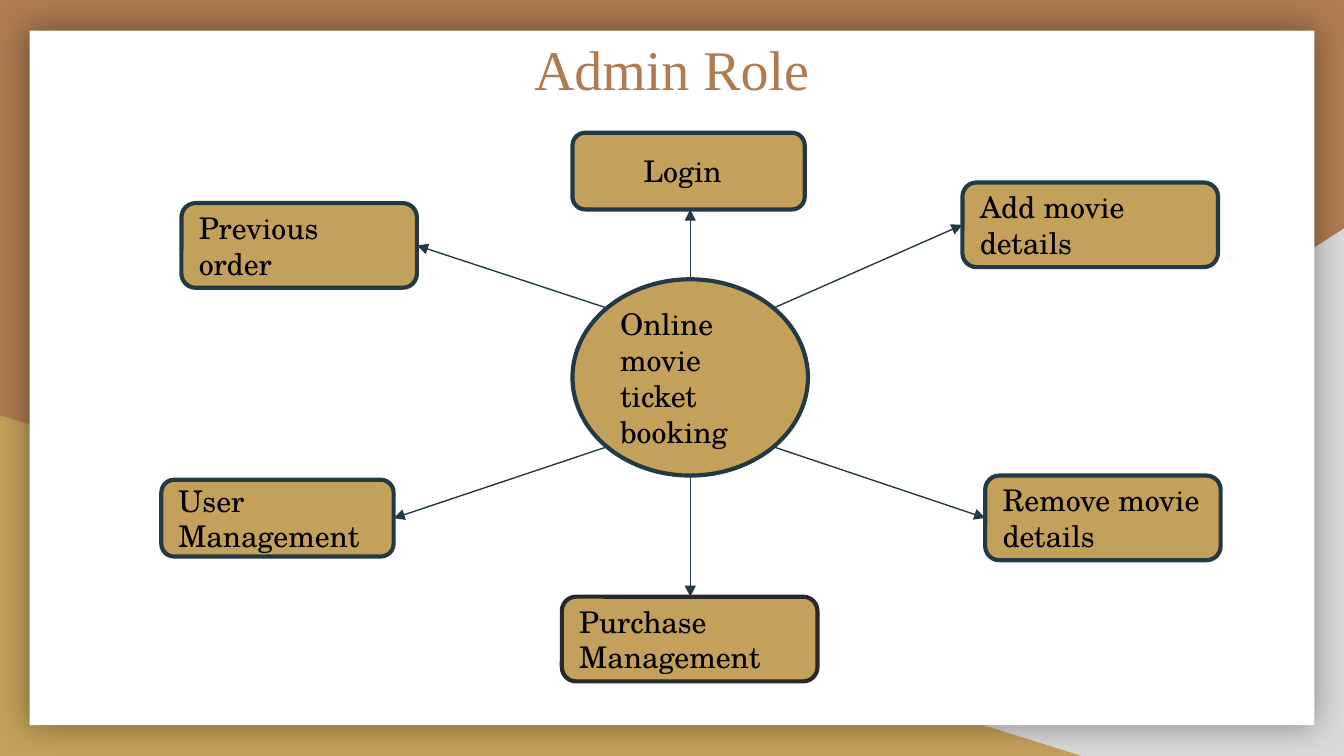
"""Build the Admin Role slide: a hub with arrows to six tasks."""
from math import cos, radians, sin

from lxml import etree
from pptx import Presentation
from pptx.dml.color import RGBColor
from pptx.enum.shapes import MSO_CONNECTOR, MSO_SHAPE
from pptx.enum.text import MSO_ANCHOR, MSO_AUTO_SIZE, PP_ALIGN
from pptx.oxml.ns import qn
from pptx.util import Cm, Pt

TRIANGLE, RECTANGLE = MSO_SHAPE.RIGHT_TRIANGLE, MSO_SHAPE.RECTANGLE
OVAL, ROUNDED = MSO_SHAPE.OVAL, MSO_SHAPE.ROUNDED_RECTANGLE
STRAIGHT = MSO_CONNECTOR.STRAIGHT
LEFT, CENTER = PP_ALIGN.LEFT, PP_ALIGN.CENTER
TOP, MIDDLE = MSO_ANCHOR.TOP, MSO_ANCHOR.MIDDLE
NO_FIT = MSO_AUTO_SIZE.NONE

COLORS = {"copper": "AF7B51", "gold": "C4A15A", "grey": "D9D9D9", "white": "FFFFFF",
          "navy": "233A44", "charcoal": "282828", "black": "000000"}

BACKDROP = [
    (TRIANGLE, (9.96, 4.32, 15.44, 9.98), "grey"),
    (TRIANGLE, (0, 7.85, 20.47, 6.45), "gold"),
    (RECTANGLE, (0.56, 0.58, 24.28, 13.13), "white"),
]
TITLE = ("Admin Role", (0.86, 0.23, 23.67, 1.6))
HUB = ("Online movie ticket booking", (10.82, 5.28, 4.45, 3.71))
# text, place, outline, left inset, angle on the hub, side met by the arrow
TASKS = [
    ("Previous order", (3.43, 3.84, 4.45, 1.6), "navy", 0.25, 225, (1, 0.5)),
    ("Add movie details", (18.19, 3.45, 4.83, 1.6), "navy", 0.25, 315, (0, 0.5)),
    ("User Management", (3.05, 9.07, 4.39, 1.45), "navy", 0.25, 135, (1, 0.5)),
    ("Remove movie details", (18.62, 8.99, 4.45, 1.6), "navy", 0.25, 45, (0, 0.5)),
    ("Login", (10.82, 2.51, 4.39, 1.45), "navy", 1.27, 270, (0.5, 1)),
    ("Purchase Management", (10.62, 11.28, 4.83, 1.6), "charcoal", 0.25, 90, (0.5, 0)),
]
INSET = 0.25


def color(name):
    return RGBColor.from_string(COLORS[name])


def apply(target, **values):
    for name, value in values.items():
        setattr(target, name, value)


def add_box(slide, kind, place, fill):
    box = slide.shapes.add_shape(kind, *map(Cm, place))
    box.shadow.inherit = False
    box.fill.solid()
    box.fill.fore_color.rgb = color(fill)
    box.line.fill.background()
    return box


def write(box, text, font, size, ink, align=LEFT, anchor=MIDDLE, left=INSET, top=INSET):
    frame = box.text_frame
    apply(frame, text=text, word_wrap=True, auto_size=NO_FIT, vertical_anchor=anchor,
          margin_left=Cm(left), margin_top=Cm(top),
          margin_right=Cm(INSET), margin_bottom=Cm(INSET))
    para = frame.paragraphs[0]
    para.alignment = align
    span = para.runs[0]
    apply(span.font, name=font, size=Pt(size))
    span.font.color.rgb = color(ink)


def add_node(slide, kind, text, place, outline="navy", left=INSET):
    box = add_box(slide, kind, place, "gold")
    box.line.color.rgb = color(outline)
    box.line.width = Pt(2.25)
    write(box, text, "TeX Gyre Schola", 16, "black", left=left)
    return box


def add_arrow(slide, hub, angle, box, side):
    start = (hub.left + hub.width * (1 + cos(radians(angle))) / 2,
             hub.top + hub.height * (1 + sin(radians(angle))) / 2)
    end = (box.left + box.width * side[0], box.top + box.height * side[1])
    if side[0] == 0.5:
        end = (start[0], end[1])
    arrow = slide.shapes.add_connector(STRAIGHT, *map(round, start + end))
    arrow.line.color.rgb = color("navy")
    arrow.line.width = Pt(0.75)
    properties = arrow._element.spPr
    etree.SubElement(properties.find(qn("a:ln")), qn("a:tailEnd"), type="triangle")
    etree.SubElement(properties, qn("a:effectLst"))


def add_glow(box):
    effects = box._element.spPr.find(qn("a:effectLst"))
    shadow = etree.SubElement(effects, qn("a:outerShdw"), blurRad=str(Pt(18)),
                              dist="0", dir="0", algn="ctr", rotWithShape="0")
    tint = etree.SubElement(shadow, qn("a:srgbClr"), val=COLORS["black"])
    etree.SubElement(tint, qn("a:alpha"), val="40000")


def main():
    deck = Presentation()
    apply(deck, slide_width=Cm(25.4), slide_height=Cm(14.29))
    slide = deck.slides.add_slide(deck.slide_layouts[5])
    slide.background.fill.solid()
    slide.background.fill.fore_color.rgb = color("copper")

    right_corner, left_corner, panel = [add_box(slide, *item) for item in BACKDROP]
    right_corner._element.spPr.xfrm.set("flipH", "1")
    add_glow(panel)

    title = slide.shapes.title
    panel._element.addnext(title._element)
    text, place = TITLE
    apply(title, **dict(zip(("left", "top", "width", "height"), map(Cm, place))))
    write(title, text, "Times New Roman", 30, "copper", CENTER, TOP, top=0.42)

    hub = add_node(slide, OVAL, *HUB)
    boxes = [add_node(slide, ROUNDED, *task[:4]) for task in TASKS]
    for box, (*_, angle, side) in zip(boxes, TASKS):
        add_arrow(slide, hub, angle, box, side)
    deck.save("out.pptx")


if __name__ == "__main__":
    main()
